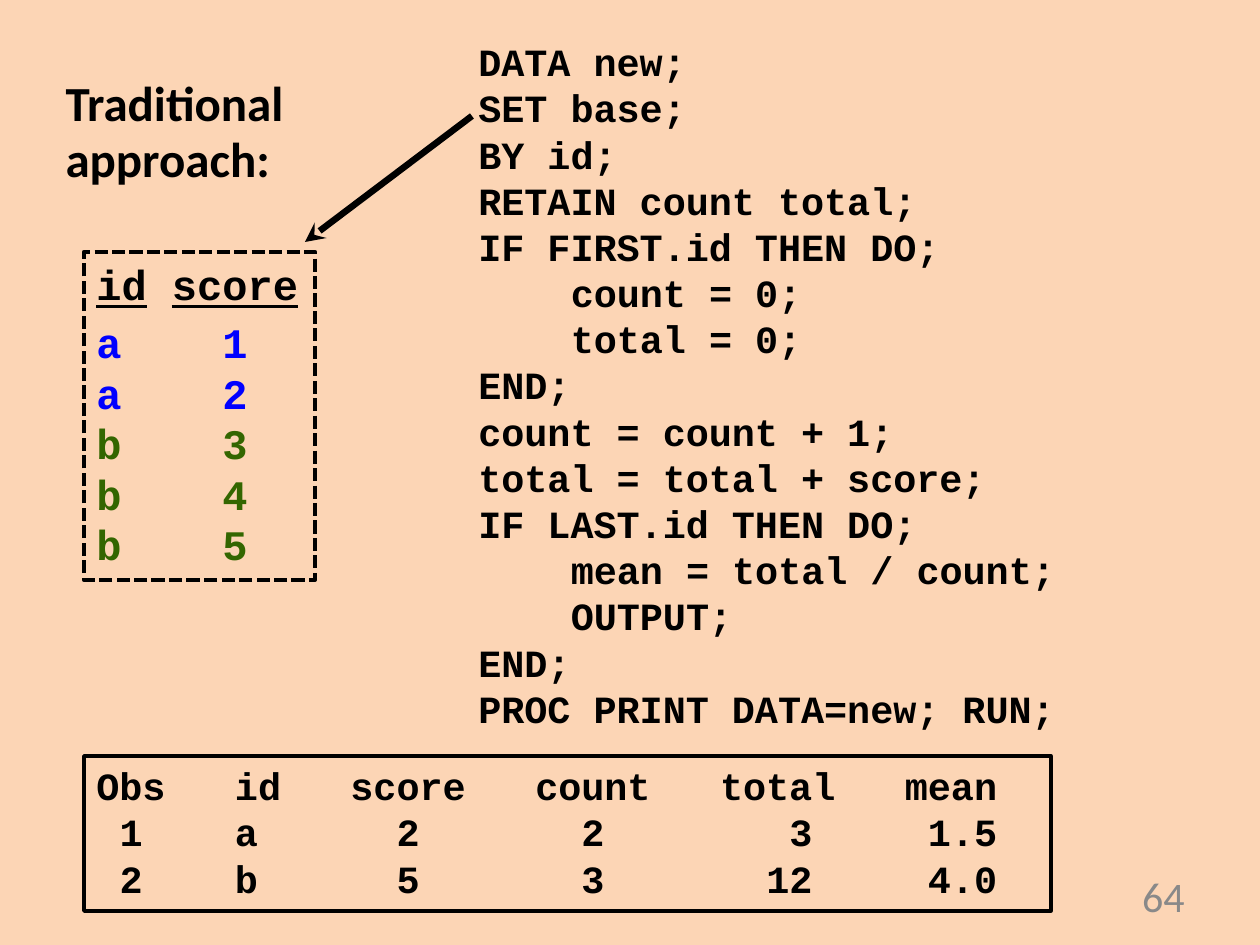
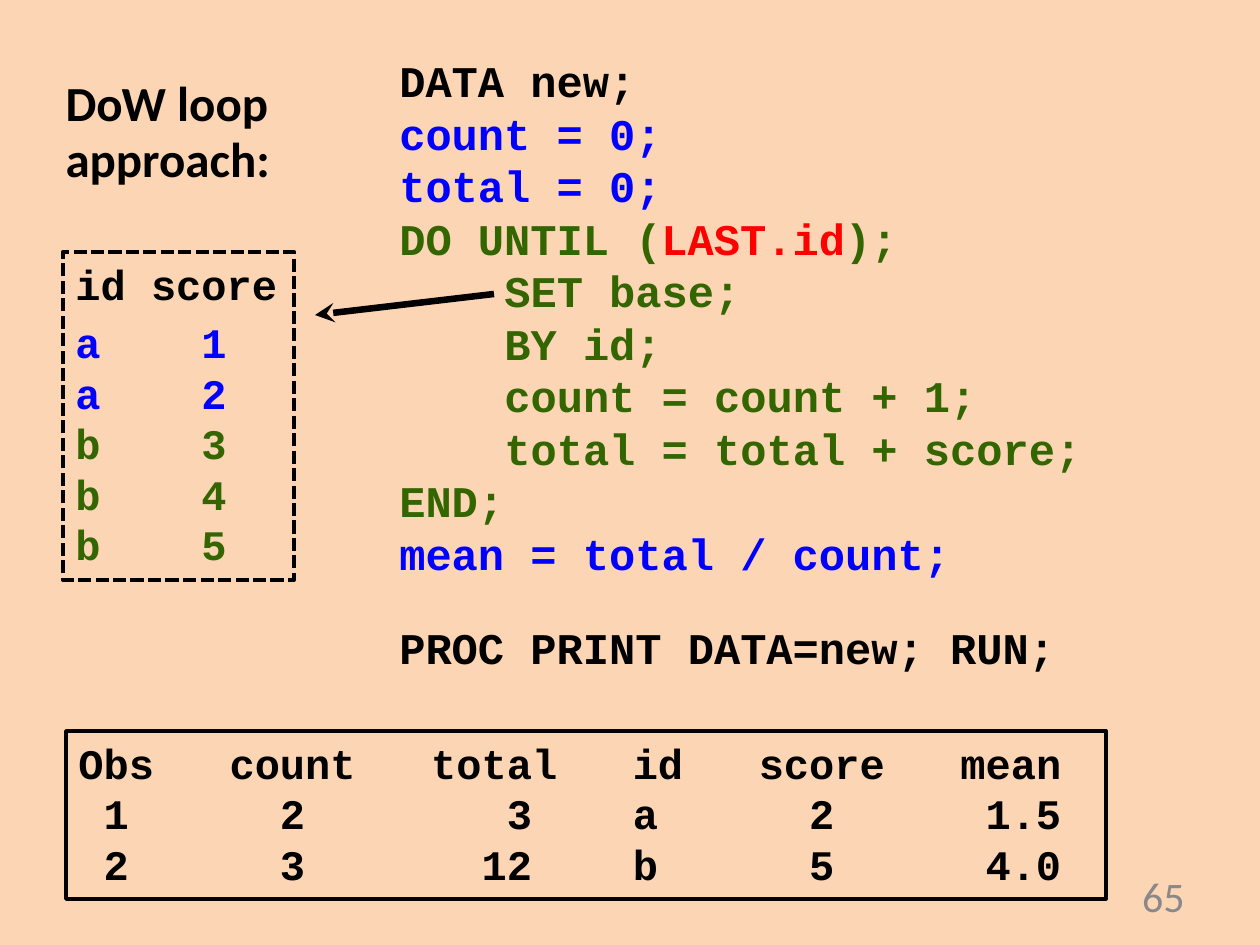
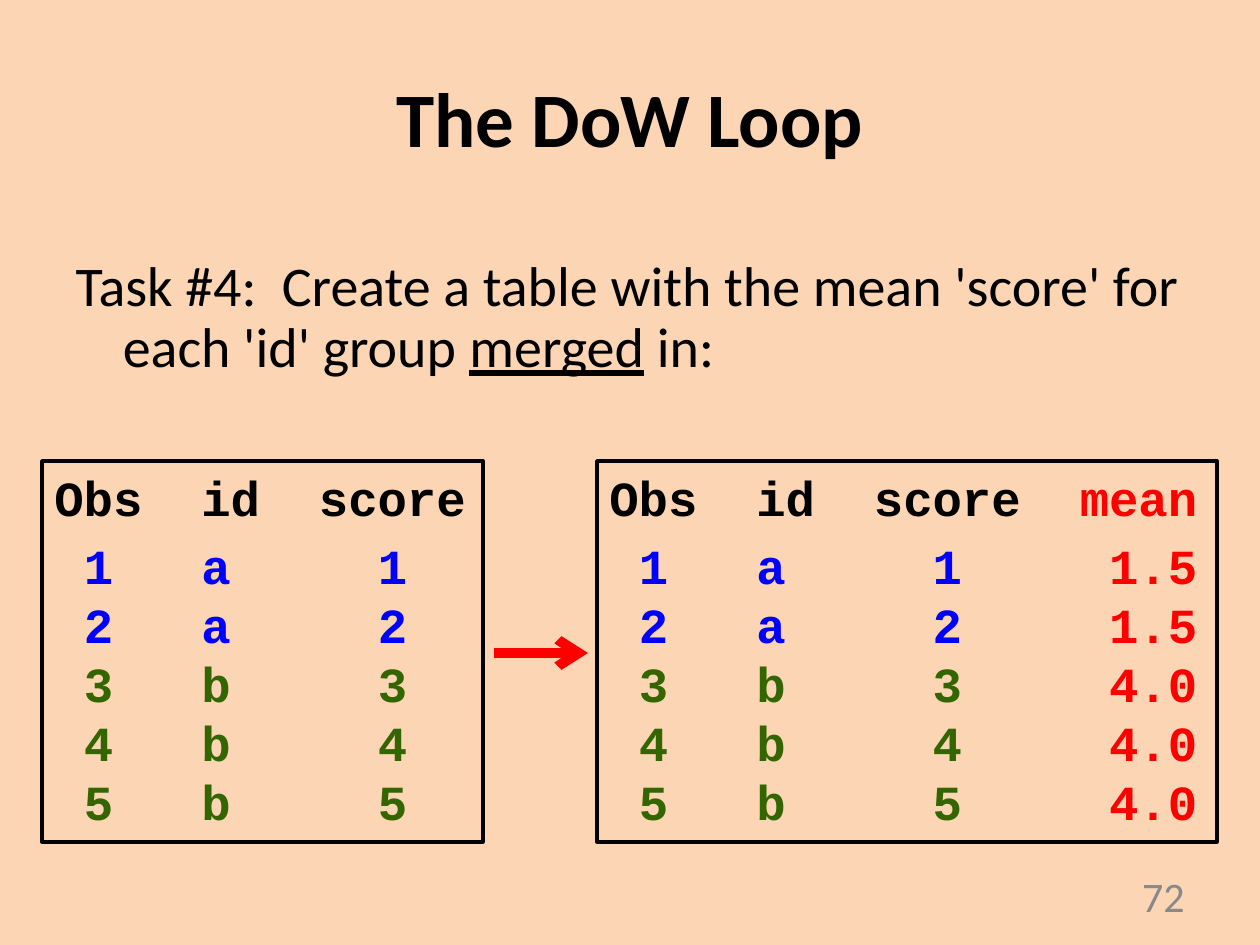
from dataclasses import dataclass
from itertools import accumulate
from typing import NamedTuple

from lxml import etree
from pptx import Presentation
from pptx import util as u
from pptx.dml.color import RGBColor
from pptx.enum import dml, shapes, text
from pptx.oxml.ns import qn

SCALE = 914400 / 126


@dataclass(frozen=True)
class Theme:
    back: str = "FCD5B5"
    ink: str = "000000"
    blue: str = "0000FF"
    green: str = "336600"
    red: str = "FF0000"
    gray: str = "898989"
    sans: str = "Calibri"
    mono: str = "Courier New"
    title: int = 44
    body: int = 32
    label: int = 28
    page: int = 24


T = Theme()
TINT = {"a": T.blue, "b": T.green}
SHIFT = {"Obs": 1, "id": 1, "score": 2, "count": 2, "total": 1, "mean": 0}


class Box(NamedTuple):
    x: int
    y: int
    w: int
    h: int


class Line(NamedTuple):
    text: str
    tint: str = T.ink
    dent: int = 0
    gap: int = 0
    hot: str = ""


@dataclass(frozen=True)
class Grid:
    box: Box
    size: int
    heads: str
    rows: tuple[str, ...]
    space: int
    width: float = 2
    dash: bool = False
    tinted: bool = True
    under: bool = False
    after: float = 0.2


@dataclass(frozen=True)
class Arrow:
    start: tuple[int, int]
    end: tuple[int, int]
    tint: str = T.ink
    width: float = 3.75
    tip: str = "stealth"


def px(n: float) -> int:
    return round(n * SCALE)


def place(shape, box: Box) -> None:
    shape.left, shape.top, shape.width, shape.height = map(px, box)


def write(par, words: str, *, size: int, font: str = T.mono, tint: str = T.ink,
          bold: bool = True, under: bool = False) -> None:
    run = par.add_run()
    run.text = words
    run.font.size = u.Pt(size)
    run.font.name = font
    run.font.bold = bold
    run.font.underline = under
    run.font.color.rgb = RGBColor.from_string(tint)


def next_par(frame, index: int):
    return frame.add_paragraph() if index else frame.paragraphs[0]


def add_box(slide, box: Box):
    shape = slide.shapes.add_textbox(*map(px, box))
    shape.text_frame.word_wrap = True
    return shape.text_frame


def set_tabs(par, spots: list[int], size: int) -> None:
    tabs = etree.SubElement(par._p.get_or_add_pPr(), qn("a:tabLst"))
    for spot in spots:
        etree.SubElement(tabs, qn("a:tab"), pos=str(u.Pt(spot * size * 0.6)), algn="l")


def add_row(par, cells: list[str], ends: list[int], tints: list[str], size: int,
            under: bool = False) -> None:
    spots = [end - len(cell) for cell, end in zip(cells, ends)]
    set_tabs(par, [spot for spot in spots if spot], size)
    for cell, spot, tint in zip(cells, spots, tints):
        if spot:
            write(par, "\t", size=size, tint=tint)
        write(par, cell, size=size, tint=tint, under=under)


def add_grid(slide, grid: Grid) -> None:
    shape = slide.shapes.add_shape(shapes.MSO_SHAPE.RECTANGLE, *map(px, grid.box))
    shape.shadow.inherit = False
    shape.fill.background()
    shape.line.color.rgb = RGBColor.from_string(T.ink)
    shape.line.width = u.Pt(grid.width)
    if grid.dash:
        shape.line.dash_style = dml.MSO_LINE.SQUARE_DOT
    frame = shape.text_frame
    frame.word_wrap = True
    frame.vertical_anchor = text.MSO_ANCHOR.TOP
    heads = grid.heads.split()
    stops = [end - grid.space for end in accumulate(len(h) + grid.space for h in heads)]
    ends = [stop - SHIFT[head] for stop, head in zip(stops, heads)]
    for i, row in enumerate((grid.heads, *grid.rows)):
        par = next_par(frame, i)
        par.alignment = text.PP_ALIGN.LEFT
        cells = row.split()
        key = next((cell for cell in cells if cell in TINT), "")
        tint = TINT.get(key, T.ink) if grid.tinted else T.ink
        tints = [T.red if grid.tinted and head == "mean" else tint for head in heads]
        if i == 0:
            par.space_after = u.Pt(grid.size * grid.after)
        add_row(par, cells, ends if i else stops, tints, grid.size, grid.under and i == 0)


def add_code(slide, box: Box, size: int, lines: list[Line]) -> None:
    frame = add_box(slide, box)
    for i, line in enumerate(lines):
        par = next_par(frame, i)
        par.space_before = u.Pt(line.gap)
        par._p.get_or_add_pPr().set("marL", str(u.Pt(line.dent * size * 0.6)))
        parts = line.text.partition(line.hot) if line.hot else (line.text,)
        for part in parts:
            write(par, part, size=size, tint=T.red if part == line.hot else line.tint)


def add_arrow(slide, arrow: Arrow) -> None:
    link = slide.shapes.add_connector(
        shapes.MSO_CONNECTOR.STRAIGHT, *map(px, arrow.start + arrow.end))
    link.line.color.rgb = RGBColor.from_string(arrow.tint)
    link.line.width = u.Pt(arrow.width)
    etree.SubElement(link.line._get_or_add_ln(), qn("a:tailEnd"), type=arrow.tip)
    etree.SubElement(link._element.spPr, qn("a:effectLst"))


def add_page(slide, number: int) -> None:
    frame = add_box(slide, Box(903, 871, 294, 50))
    frame.vertical_anchor = text.MSO_ANCHOR.MIDDLE
    par = frame.paragraphs[0]
    par.alignment = text.PP_ALIGN.RIGHT
    write(par, str(number), size=T.page, font=T.sans, tint=T.gray, bold=False)


def add_slide(deck, number: int, title: str = ""):
    slide = deck.slides.add_slide(deck.slide_layouts[1])
    head = slide.shapes.title
    if title:
        place(head, Box(63, 38, 1134, 158))
        par = head.text_frame.paragraphs[0]
        par.alignment = text.PP_ALIGN.CENTER
        write(par, title, size=T.title, font=T.sans)
    else:
        head._element.getparent().remove(head._element)
    add_page(slide, number)
    return slide


def fill_body(slide, box: Box, lines: list[str], *, size: int, bold: bool,
              before: float = 0, after: float = 0, mark: str = "") -> None:
    body = slide.placeholders[1]
    place(body, box)
    frame = body.text_frame
    frame.auto_size = text.MSO_AUTO_SIZE.NONE
    for i, line in enumerate(lines):
        par = next_par(frame, i)
        par.line_spacing = 0.9
        par.space_before = u.Pt(size * before)
        par.space_after = u.Pt(size * after)
        etree.SubElement(par._p.get_or_add_pPr(), qn("a:buNone"))
        for part in line.partition(mark) if mark else (line,):
            write(par, part, size=size, font=T.sans, bold=bold, under=part == mark)


def add_label(slide, lines: list[str]) -> None:
    fill_body(slide, Box(53, 73, 252, 126), lines, size=T.label, bold=True, after=0.05)


def add_base(slide, left: int, under: bool) -> None:
    rows = ("a 1", "a 2", "b 3", "b 4", "b 5")
    add_grid(slide, Grid(Box(left, 252, 231, 328), 24, "id score", rows, 1,
                         width=2.5, dash=True, under=under))


def add_print(slide, box: Box, size: int, heads: str, rows: tuple[str, ...]) -> None:
    add_grid(slide, Grid(box, size, heads, rows, 3, tinted=False, after=0))


def build_old(deck) -> None:
    slide = add_slide(deck, 64)
    add_label(slide, ["Traditional", "approach:"])
    add_print(slide, Box(84, 756, 967, 155), 22, "Obs id score count total mean",
              ("1 a 2 2 3 1.5", "2 b 5 3 12 4.0"))
    add_code(slide, Box(466, 32, 620, 712), 22, [
        Line("DATA new;"),
        Line("SET base;"),
        Line("BY id;"),
        Line("RETAIN count total;"),
        Line("IF FIRST.id THEN DO;"),
        Line("count = 0;", dent=4),
        Line("total = 0;", dent=4),
        Line("END;"),
        Line("count = count + 1;"),
        Line("total = total + score;"),
        Line("IF LAST.id THEN DO;"),
        Line("mean = total / count;", dent=4),
        Line("OUTPUT;", dent=4),
        Line("END;"),
        Line("PROC PRINT DATA=new; RUN;"),
    ])
    add_base(slide, 84, under=True)
    add_arrow(slide, Arrow((472, 116), (305, 242)))


def build_loop(deck) -> None:
    slide = add_slide(deck, 65)
    add_label(slide, ["DoW loop", "approach:"])
    add_print(slide, Box(66, 731, 1040, 168), 24, "Obs count total id score mean",
              ("1 2 3 a 2 1.5", "2 3 12 b 5 4.0"))
    add_code(slide, Box(387, 48, 719, 633), 25, [
        Line("DATA new;"),
        Line("count = 0;", T.blue),
        Line("total = 0;", T.blue),
        Line("DO UNTIL (LAST.id);", T.green, hot="LAST.id"),
        Line("SET base;", T.green, dent=4),
        Line("BY id;", T.green, dent=4),
        Line("count = count + 1;", T.green, dent=4),
        Line("total = total + score;", T.green, dent=4),
        Line("END;", T.green),
        Line("mean = total / count;", T.blue),
        Line("PROC PRINT DATA=new; RUN;", gap=24),
    ])
    add_base(slide, 63, under=False)
    add_arrow(slide, Arrow((494, 294), (315, 315)))


def build_task(deck) -> None:
    slide = add_slide(deck, 72, "The DoW Loop")
    task = "Task #4:  Create a table with the mean 'score' for each 'id' group merged in:"
    fill_body(slide, Box(63, 252, 1134, 179), [task], size=T.body, bold=False,
              before=0.2, mark="merged")
    rows = ("1 a 1", "2 a 2", "3 b 3", "4 b 4", "5 b 5")
    means = {"a": "1.5", "b": "4.0"}
    merged = tuple(f"{row} {means[row.split()[1]]}" for row in rows)
    add_grid(slide, Grid(Box(597, 461, 620, 381), 28, "Obs id score mean", merged, 2))
    add_grid(slide, Grid(Box(42, 461, 441, 381), 28, "Obs id score", rows, 2))
    add_arrow(slide, Arrow((494, 653), (588, 653), T.red, 5.5, "arrow"))


def main() -> None:
    deck = Presentation()
    deck.slide_width, deck.slide_height = px(1260), px(945)
    fill = deck.slide_master.background.fill
    fill.solid()
    fill.fore_color.rgb = RGBColor.from_string(T.back)
    for build in (build_old, build_loop, build_task):
        build(deck)
    deck.save("out.pptx")


if __name__ == "__main__":
    main()
